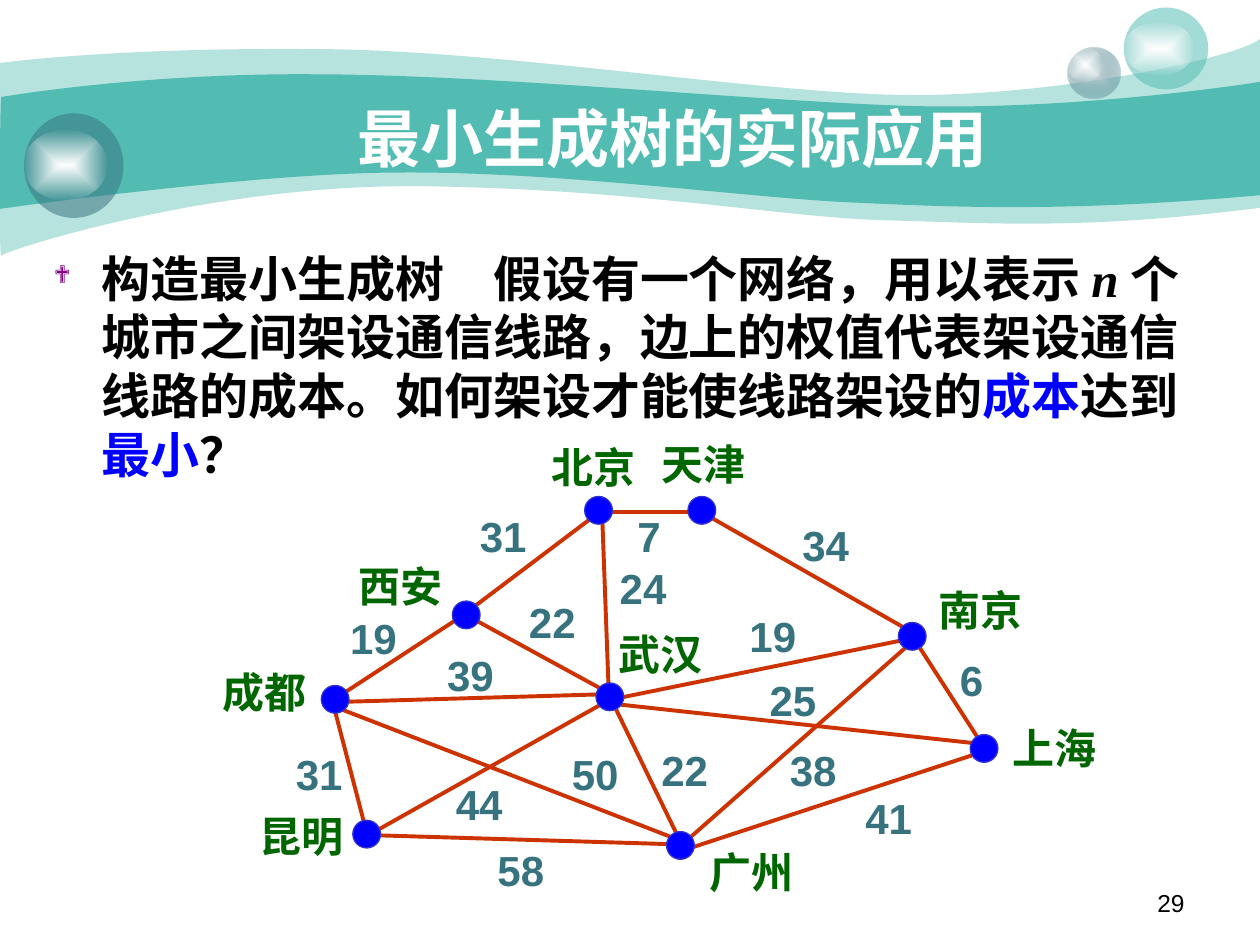
from lxml.etree import SubElement
from pptx import Presentation
from pptx.dml.color import RGBColor
from pptx.enum.shapes import MSO_CONNECTOR, MSO_SHAPE
from pptx.enum.text import MSO_ANCHOR, PP_ALIGN
from pptx.oxml.ns import qn
from pptx.util import Inches, Pt

HUES = {"teal": "52BCB2", "slate": "37737F", "pale": "CCDBDE", "white": "FFFFFF",
        "black": "000000", "purple": "800080", "blue": "0000FF", "rim": "3333CC",
        "red": "CC3300", "green": "006600"}
HAN = "Noto Sans CJK JP"
OUTER = ((0, 0.5), [
    [(0.24, 0.47), (1.07, 0.38), (2.47, 0.39)], [(3.86, 0.39), (5.75, 0.7), (6.99, 0.75)],
    [(8.22, 0.8), (9.8, 0.47), (10, 0.31)], [(10, 1.65)],
    [(8.58, 1.83), (7.87, 1.77), (7.05, 1.75)], [(6.22, 1.73), (5.15, 1.51), (3.43, 1.48)],
    [(1.72, 1.44), (0.04, 1.99), (0.01, 2.03)], [(-0.01, 2.08), (0, 0.75), (0, 0.5)]])
INNER = ((0.01, 0.77), [
    [(0.02, 0.77), (1.1, 0.58), (2.48, 0.59)], [(3.86, 0.59), (5.95, 0.8), (7.18, 0.84)],
    [(8.41, 0.88), (9.76, 0.69), (10, 0.65)], [(10, 1.55)],
    [(8.53, 1.68), (7.65, 1.65), (6.82, 1.61)], [(5.99, 1.58), (4.47, 1.36), (3.17, 1.37)],
    [(2.03, 1.37), (-0.02, 1.66), (-0.01, 1.66)], [(0, 1.66), (0, 0.77), (0.01, 0.77)]])
GLOSS = [("white", 100), ("white", 0)]
BALLS = [
    ((8.47, 0.38, 0.42, 0.4), [("pale", 100), ("slate", 31)], (8.47, 0.38, 0.28, 0.27)),
    ((8.92, 0.06, 0.67, 0.65), [("teal", 53)], (8.92, 0.17, 0.56, 0.43)),
    ((0.19, 0.9, 0.79, 0.83), [("slate", 53)], (0.19, 1.03, 0.66, 0.56))]
TOWNS = {
    "武汉": ((3.06, 1.99), (3.14, 1.51)), "昆明": ((1.13, 3.08), (0.29, 2.95)),
    "南京": ((5.46, 1.51), (5.68, 1.16)), "北京": ((2.97, 0.51), (2.61, 0.02)),
    "上海": ((6.03, 2.4), (6.27, 2.25)), "成都": ((0.88, 2.01), (0, 1.81)),
    "西安": ((1.92, 1.34), (1.08, 0.97)), "广州": ((3.62, 3.17), (3.86, 3.24)),
    "天津": ((3.79, 0.51), (3.48, 0))}
LINKS = [
    (22, (3.48, 2.43), (3.19, 2.14, 3.74, 3.27)), (19, (1.01, 1.38), (1.06, 2.07, 1.98, 1.47)),
    (31, (2.04, 0.57), (2.1, 1.38, 3.04, 0.67)), (31, (0.58, 2.46), (1.23, 3.14, 0.97, 2.14)),
    (44, (1.85, 2.7), (1.34, 3.15, 3.12, 2.15)), (24, (3.15, 0.98), (3.11, 0.68, 3.16, 2.03)),
    (19, (4.18, 1.36), (3.24, 2.11, 5.5, 1.65)), (38, (4.5, 2.43), (3.77, 3.25, 5.54, 1.69)),
    (6, (5.85, 1.71), (5.61, 1.68, 6.1, 2.44)), (41, (5.1, 2.81), (3.81, 3.3, 6.12, 2.54)),
    (58, (2.18, 3.22), (1.34, 3.2, 3.66, 3.27)), (39, (1.78, 1.67), (1.07, 2.14, 3.13, 2.08)),
    (22, (2.43, 1.25), (2.1, 1.49, 3.18, 2.08)), (50, (2.77, 2.46), (1.04, 2.2, 3.7, 3.23)),
    (25, (4.34, 1.87), (3.23, 2.16, 6.08, 2.47)), (7, (3.29, 0.57), (3.19, 0.63, 3.79, 0.63)),
    (34, (4.6, 0.64), (3.96, 0.67, 5.52, 1.56))]


def tint(hue):
    """Return the named colour."""
    return RGBColor.from_string(HUES[hue])


def stain(node, hue, alpha):
    """Add a colour of the given opacity under an XML node."""
    clr = SubElement(node, qn("a:srgbClr"), val=HUES[hue])
    if alpha < 100:
        SubElement(clr, qn("a:alpha"), val=str(alpha * 1000))


def paint(shape, stops):
    """Fill a shape with one colour, or with a glow from its centre."""
    shape.shadow.inherit = False
    shape.line.fill.background()
    shape.fill.solid()
    fill = shape.element.spPr.find(qn("a:solidFill"))
    if len(stops) == 1:
        stain(fill, *stops[0])
        return
    fill.tag = qn("a:gradFill")
    ramp = SubElement(fill, qn("a:gsLst"))
    for pos, stop in zip(("0", "100000"), stops):
        stain(SubElement(ramp, qn("a:gs"), pos=pos), *stop)
    glow = SubElement(fill, qn("a:path"), path="rect")
    SubElement(glow, qn("a:fillToRect"), dict.fromkeys("ltrb", "50000"))


def oval(slide, box):
    """Add an ellipse in a box."""
    return slide.shapes.add_shape(MSO_SHAPE.OVAL, *map(Inches, box))


def wave(slide, x, y, start, parts, alpha):
    """Draw a closed band of lines and cubic curves."""
    dots = [start] + [dot for part in parts for dot in part]
    dots = [(Inches(x + u), Inches(y + v)) for u, v in dots]
    pen = slide.shapes.build_freeform(*dots[0], scale=1.0)
    pen.add_line_segments(dots[1:], close=True)
    shape = pen.convert_to_shape()
    legs = iter(list(shape.element.iter(qn("a:lnTo"))))
    for part in parts:
        first, *rest = [next(legs) for _ in part]
        if rest:
            first.tag = qn("a:cubicBezTo")
            for leg in rest:
                first.append(leg[0])
                leg.getparent().remove(leg)
    paint(shape, [("teal", alpha)])


def banner(slide, x, y):
    """Draw the waves and the glossy balls."""
    wave(slide, x, y, *OUTER, 41)
    wave(slide, x, y, *INNER, 100)
    for ball, stops, shine in BALLS:
        for (u, v, w, h), look in ((ball, stops), (shine, GLOSS)):
            paint(oval(slide, (x + u, y + v, w, h)), look)


def write(slide, box, runs, size, font="Arial", bold=True):
    """Add a text box of (text, hue, italic) runs and return its frame."""
    frame = slide.shapes.add_textbox(*map(Inches, box)).text_frame
    frame.word_wrap = True
    for text, hue, slant in runs:
        run = frame.paragraphs[0].add_run()
        run.text = text
        face = run.font
        face.name, face.size, face.bold, face.italic = font, Pt(size), bold, slant
        face.color.rgb = tint(hue)
        SubElement(run._r.get_or_add_rPr(), qn("a:ea"), typeface=HAN)
    return frame


def title(slide, box):
    """Write the centred heading."""
    frame = write(slide, box, [("最小生成树的实际应用", "white", False)], 36, HAN)
    frame.vertical_anchor = MSO_ANCHOR.MIDDLE
    frame.paragraphs[0].alignment = PP_ALIGN.CENTER
    frame.paragraphs[0].line_spacing = 0.85


def body(slide, box):
    """Write the bulleted problem statement."""
    runs = [("构造最小生成树　假设有一个网络，用以表示 ", "black", False),
            ("n ", "black", True),
            ("个城市之间架设通信线路，边上的权值代表架设通信线路的成本。如何架设才能使线路架设的", "black", False),
            ("成本", "blue", False), ("达到", "black", False),
            ("最小", "blue", False), ("？", "black", False)]
    para = write(slide, box, runs, 28, "Times New Roman").paragraphs[0]
    para.line_spacing = Pt(33.6)
    props = para._p.get_or_add_pPr()
    props.set("marL", str(Inches(0.38)))
    props.set("indent", str(Inches(-0.38)))
    stain(SubElement(props, qn("a:buClr")), "purple", 100)
    SubElement(props, qn("a:buSzPct"), val="50000")
    SubElement(props, qn("a:buFont"), typeface="Wingdings")
    SubElement(props, qn("a:buChar"), char="❖")


def label(slide, x, y, wide, text, hue):
    """Write a short label of the graph."""
    frame = write(slide, (x, y, wide, 0.5), [(text, hue, False)], 24)
    frame.word_wrap = False
    frame.paragraphs[0].line_spacing = Pt(29)


def edge(slide, x, y, ends):
    """Draw a line between two towns."""
    a, b, c, d = ends
    spots = map(Inches, (x + a, y + b, x + c, y + d))
    line = slide.shapes.add_connector(MSO_CONNECTOR.STRAIGHT, *spots)
    line.line.color.rgb = tint("red")
    line.line.width = Pt(2.25)
    SubElement(line.element.spPr, qn("a:effectLst"))


def graph(slide, x, y, size=0.22):
    """Draw the network of towns with its costs."""
    for _, _, ends in LINKS:
        edge(slide, x, y, ends)
    for (u, v), _ in TOWNS.values():
        dot = oval(slide, (x + u, y + v, size, size))
        paint(dot, [("blue", 100)])
        dot.line.color.rgb = tint("rim")
        dot.line.width = Pt(0.75)
    for name, (_, (u, v)) in TOWNS.items():
        label(slide, x + u, y + v, 0.88, name, "green")
    for cost, (u, v), _ in LINKS:
        label(slide, x + u, y + v, 0.19 * (len(str(cost)) + 1), str(cost), "slate")


def number(slide, box):
    """Write the page number."""
    frame = write(slide, box, [("29", "black", False)], 14, bold=False)
    frame.paragraphs[0].alignment = PP_ALIGN.RIGHT


def main():
    """Build and save the slide."""
    deck = Presentation()
    deck.slide_width, deck.slide_height = Inches(10), Inches(7.5)
    slide = deck.slides.add_slide(deck.slide_layouts[6])
    banner(slide, 0, 0)
    number(slide, (7.17, 7, 2.33, 0.35))
    title(slide, (0.83, 0.61, 9.01, 1.06))
    body(slide, (0.33, 1.92, 9.17, 2.08))
    graph(slide, 1.67, 3.43)
    deck.save("out.pptx")


if __name__ == "__main__":
    main()
